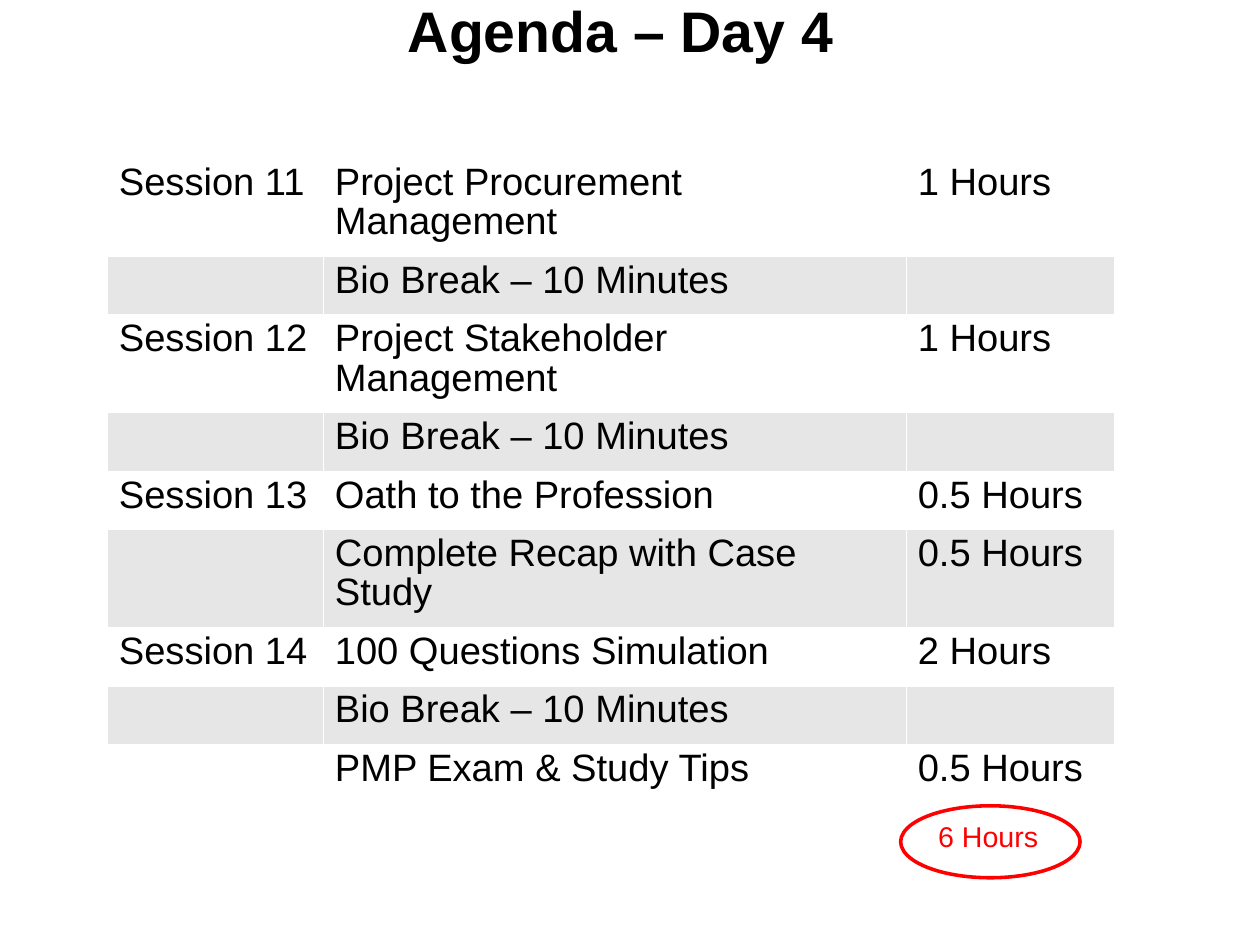
import pptx
import pptx.util
import pptx.dml.color
import pptx.enum.shapes
import pptx.enum.text
import pptx.oxml
import pptx.oxml.ns

Inches = pptx.util.Inches
RGBColor = pptx.dml.color.RGBColor

BLACK = RGBColor(0x00, 0x00, 0x00)
WHITE = RGBColor(0xFF, 0xFF, 0xFF)
GREY = RGBColor(0xE6, 0xE6, 0xE6)
RED = RGBColor(0xFF, 0x00, 0x00)

CM_PER_INCH = 2.54
BREAK = ("", "Bio Break – 10 Minutes", "")
SESSIONS = [
    ("Session 11", "Project Procurement Management", "1 Hours"),
    BREAK,
    ("Session 12", "Project Stakeholder Management", "1 Hours"),
    BREAK,
    ("Session 13", "Oath to the Profession", "0.5 Hours"),
    ("", "Complete Recap with Case Study", "0.5 Hours"),
    ("Session 14", "100 Questions Simulation", "2 Hours"),
    BREAK,
    ("", "PMP Exam & Study Tips", "0.5 Hours"),
]
COL_WIDTHS = (1.89, 5.1, 1.82)
ONE_LINE, TWO_LINES = 0.51, 0.86
WRAP_LENGTH = 26


def write_text(tf, text, size, color, align=pptx.enum.text.PP_ALIGN.LEFT, bold=False):
    tf.text = text
    p = tf.paragraphs[0]
    p.alignment = align
    p.line_spacing = 0.93
    for r in p.runs:
        r.font.name = "Arial"
        r.font.size = pptx.util.Pt(size)
        r.font.bold = bold
        r.font.color.rgb = color


def add_borders(cell, color, width):
    tc_pr = cell._tc.get_or_add_tcPr()
    for side in ("lnL", "lnR", "lnT", "lnB"):
        tc_pr.append(pptx.oxml.parse_xml(
            f'<a:{side} {pptx.oxml.ns.nsdecls("a")} w="{int(pptx.util.Pt(width))}">'
            f'<a:solidFill><a:srgbClr val="{color}"/></a:solidFill></a:{side}>'))


def add_title(s, left, top, width, height):
    sp = s.shapes.title
    sp.left, sp.top = Inches(left), Inches(top)
    sp.width, sp.height = Inches(width), Inches(height)
    tf = sp.text_frame
    tf.margin_left = tf.margin_right = tf.margin_top = tf.margin_bottom = 0
    tf.vertical_anchor = pptx.enum.text.MSO_ANCHOR.MIDDLE
    write_text(tf, "Agenda – Day 4", 36, BLACK, pptx.enum.text.PP_ALIGN.CENTER, True)


def add_agenda(s, left, top, width, height):
    table = s.shapes.add_table(len(SESSIONS), len(COL_WIDTHS), Inches(left), Inches(top),
                               Inches(width), Inches(height)).table
    table.first_row = table.horz_banding = False
    for column, col_width in zip(table.columns, COL_WIDTHS):
        column.width = Inches(col_width)
    for i, session in enumerate(SESSIONS):
        wraps = len(session[1]) > WRAP_LENGTH
        table.rows[i].height = Inches(TWO_LINES if wraps else ONE_LINE)
        for j, text in enumerate(session):
            cell = table.cell(i, j)
            add_borders(cell, WHITE, 0.06)
            cell.fill.solid()
            cell.fill.fore_color.rgb = GREY if i % 2 else WHITE
            if text:
                write_text(cell.text_frame, text, 24, BLACK)


def add_total(s, left, top, width, height):
    sp = s.shapes.add_shape(pptx.enum.shapes.MSO_SHAPE.OVAL, Inches(left), Inches(top),
                            Inches(width), Inches(height))
    sp.shadow.inherit = False
    sp.fill.background()
    sp.line.color.rgb = RED
    sp.line.width = pptx.util.Pt(2.25)
    sp.text_frame.vertical_anchor = pptx.enum.text.MSO_ANCHOR.TOP
    write_text(sp.text_frame, "6 Hours", 18, RED)


def main():
    prs = pptx.Presentation()
    prs.slide_width = Inches(28 / CM_PER_INCH)
    prs.slide_height = Inches(21 / CM_PER_INCH)
    s = prs.slides.add_slide(prs.slide_layouts.get_by_name("Title Only"))
    add_title(s, 0.59, 0, 9.68, 0.59)
    add_agenda(s, 0.94, 1.38, 8.81, 5.64)
    add_total(s, 7.88, 7.05, 1.57, 0.63)
    prs.save("out.pptx")


if __name__ == "__main__":
    main()
